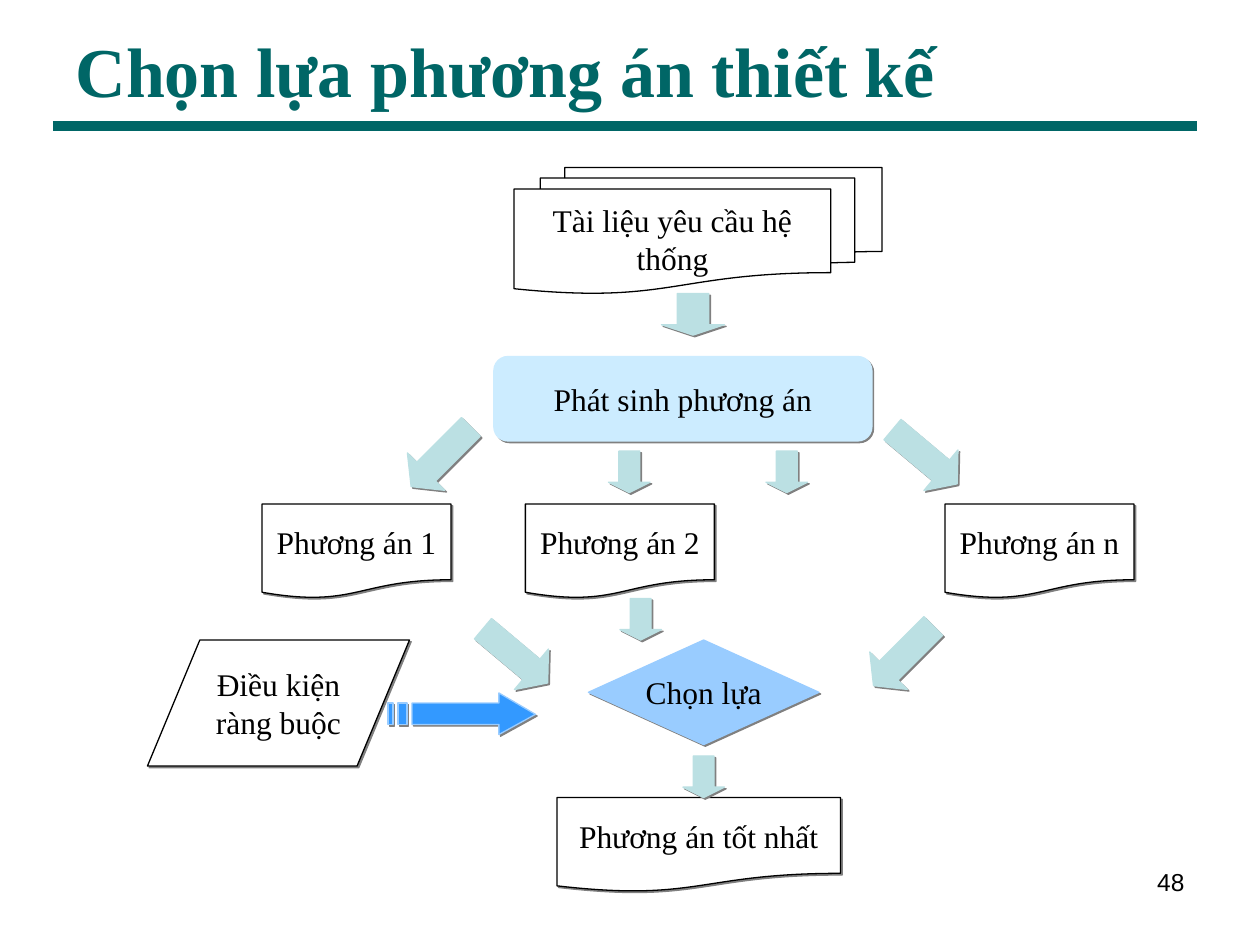
from lxml.etree import SubElement
from pptx import Presentation
from pptx.dml.color import RGBColor
from pptx.enum.shapes import MSO_CONNECTOR, MSO_SHAPE as Preset
from pptx.enum.text import MSO_ANCHOR as Anchor, MSO_AUTO_SIZE as AutoSize, PP_ALIGN as Align
from pptx.oxml.ns import qn
from pptx.util import Inches, Pt

TEAL = RGBColor(0x00, 0x66, 0x66)
BLACK = RGBColor(0x00, 0x00, 0x00)
WHITE = RGBColor(0xFF, 0xFF, 0xFF)
PALE_BLUE = RGBColor(0xCC, 0xEC, 0xFF)
SKY = RGBColor(0x99, 0xCC, 0xFF)
BLUE = RGBColor(0x33, 0x99, 0xFF)
MINT = RGBColor(0xBB, 0xE0, 0xE3)
GRAY = RGBColor(0x80, 0x80, 0x80)

TITLE_FONT = {"name": "Times New Roman", "size": Pt(40), "bold": True}
LABEL_FONT = {"name": "Times New Roman", "size": Pt(18)}
NUMBER_FONT = {"name": "Arial", "size": Pt(14)}

STEPS = [
    (Preset.FLOWCHART_MULTIDOCUMENT, (4.08, 1.33, 2.92, 1), "Tài liệu yêu cầu hệ thống",
     WHITE, BLACK, True, False),
    (Preset.ROUNDED_RECTANGLE, (3.92, 2.83, 3, 0.67), "Phát sinh phương án",
     PALE_BLUE, PALE_BLUE, False, True),
    (Preset.DIAMOND, (4.67, 5.08, 1.83, 0.83), "Chọn lựa", SKY, SKY, False, True),
    (Preset.FLOWCHART_DOCUMENT, (4.42, 6.33, 2.25, 0.75), "Phương án tốt nhất",
     WHITE, BLACK, False, True),
    (Preset.FLOWCHART_DATA, (1.17, 5.08, 2.08, 1), "Điều kiện ràng buộc",
     WHITE, BLACK, True, True),
]
OPTIONS = [(2.08, "Phương án 1"), (4.17, "Phương án 2"), (7.5, "Phương án n")]
SMALL_ARROWS = [(4.83, 3.58), (6.08, 3.58), (4.92, 4.75), (5.42, 6)]
SLANTED_ARROWS = [(3.29, 3.29, 45), (7.13, 3.29, 310), (3.88, 4.87, 310), (6.96, 4.87, 45)]


def write_text(frame, text, color, formats, align, anchor=Anchor.MIDDLE, wrap=True):
    """Put one formatted paragraph into a text frame."""
    frame.auto_size = AutoSize.NONE
    frame.word_wrap = wrap
    frame.vertical_anchor = anchor
    para = frame.paragraphs[0]
    para.alignment = align
    span = para.add_run()
    span.text = text
    for name, value in formats.items():
        setattr(span.font, name, value)
    span.font.color.rgb = color


def paint(shape, fill, line, shadow=True):
    """Set fill, outline and the hard gray shadow of a shape."""
    shape.fill.solid()
    shape.fill.fore_color.rgb = fill
    shape.line.color.rgb = line
    shape.line.width = Pt(0.75)
    shape.shadow.inherit = False
    if shadow:
        effects = shape.element.spPr.find(qn("a:effectLst"))
        outer = SubElement(effects, qn("a:outerShdw"), blurRad="0", dist=str(Pt(1.4)),
                           dir="2700000", algn="ctr", rotWithShape="0")
        SubElement(outer, qn("a:srgbClr"), val=str(GRAY))


def add_step(page, preset, place, text, fill, line, wrap, shadow):
    """Add a labelled flowchart shape."""
    shape = page.shapes.add_shape(preset, *map(Inches, place))
    paint(shape, fill, line, shadow)
    write_text(shape.text_frame, text, BLACK, LABEL_FONT, Align.CENTER, wrap=wrap)


def add_down_arrow(page, left, top, width, height, head=0.25, rotation=0):
    """Add a mint block arrow, turned by rotation degrees."""
    arrow = page.shapes.add_shape(Preset.DOWN_ARROW, *map(Inches, (left, top, width, height)))
    arrow.adjustments[0] = 0.5
    arrow.adjustments[1] = head
    arrow.rotation = rotation
    paint(arrow, MINT, MINT)


def add_striped_arrow(page):
    """Add the blue arrow with two tail stripes, in hundredths of an inch."""
    upper, lower = 558, 575
    head = [(327, upper), (396, upper), (396, 550), (425, 567),
            (396, 583), (396, lower), (327, lower)]
    stripes = [[(left, upper), (right, upper), (right, lower), (left, lower)]
               for left, right in ((308, 312), (316, 323))]
    builder = page.shapes.build_freeform(*head[0], scale=Inches(0.01))
    builder.add_line_segments(head[1:], close=True)
    for stripe in stripes:
        builder.move_to(*stripe[0])
        builder.add_line_segments(stripe[1:], close=True)
    paint(builder.convert_to_shape(), BLUE, SKY)


def add_title(page, text):
    """Fill the title placeholder and draw the rule below it."""
    rule = page.shapes.add_connector(MSO_CONNECTOR.STRAIGHT, *map(Inches, (0.42, 1, 9.5, 1)))
    rule.line.color.rgb = TEAL
    rule.line.width = Pt(6)
    SubElement(rule.element.spPr, qn("a:effectLst"))
    title = page.shapes.title
    places = {"left": 0.5, "top": 0.17, "width": 9, "height": 0.76}
    for name, value in places.items():
        setattr(title, name, Inches(value))
    write_text(title.text_frame, text, TEAL, TITLE_FONT, Align.LEFT)


def add_page_number(page, text):
    """Add the page number at the lower right."""
    box = page.shapes.add_textbox(*map(Inches, (7.17, 6.83, 2.33, 0.52)))
    write_text(box.text_frame, text, BLACK, NUMBER_FONT, Align.RIGHT, Anchor.TOP)


def main():
    """Build the slide and save the deck."""
    deck = Presentation()
    deck.slide_width, deck.slide_height = Inches(10), Inches(7.5)
    page = deck.slides.add_slide(deck.slide_layouts[5])
    add_title(page, "Chọn lựa phương án thiết kế")
    for step in STEPS:
        add_step(page, *step)
    for left, text in OPTIONS:
        add_step(page, Preset.FLOWCHART_DOCUMENT, (left, 4, 1.5, 0.75), text,
                 WHITE, BLACK, False, True)
    add_down_arrow(page, 5.25, 2.33, 0.5, 0.33)
    for left, top in SMALL_ARROWS:
        add_down_arrow(page, left, top, 0.33, 0.33)
    for left, top, rotation in SLANTED_ARROWS:
        add_down_arrow(page, left, top, 0.42, 0.67, 0.4, rotation)
    add_striped_arrow(page)
    add_page_number(page, "48")
    deck.save("out.pptx")


if __name__ == "__main__":
    main()
